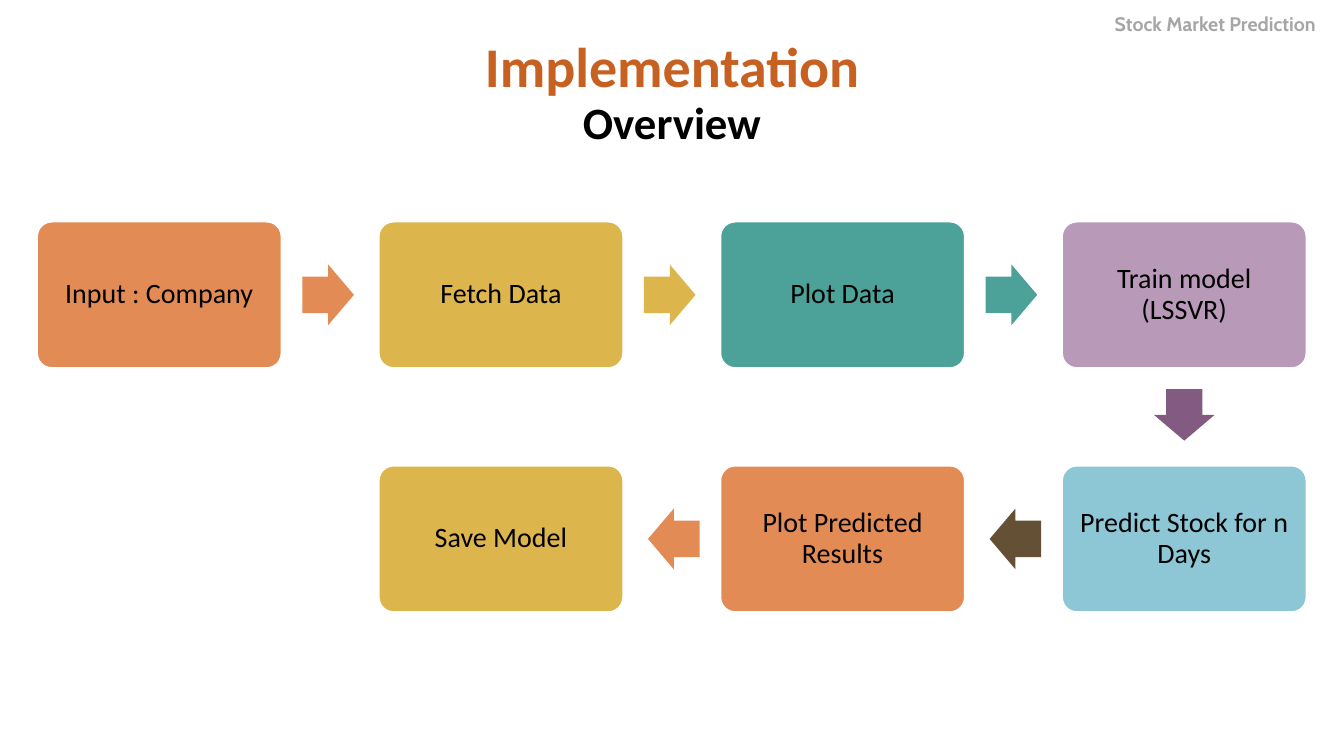
from dataclasses import dataclass

from pptx import Presentation
from pptx.dml.color import RGBColor
from pptx.enum.shapes import MSO_SHAPE
from pptx.enum.text import MSO_ANCHOR, MSO_AUTO_SIZE, PP_ALIGN
from pptx.util import Cm, Pt

CARD = MSO_SHAPE.ROUNDED_RECTANGLE
ARROW = MSO_SHAPE.RIGHT_ARROW
TOP, MIDDLE = MSO_ANCHOR.TOP, MSO_ANCHOR.MIDDLE
LEFT, CENTER = PP_ALIGN.LEFT, PP_ALIGN.CENTER
GROW = MSO_AUTO_SIZE.SHAPE_TO_FIT_TEXT
TITLE_ONLY = 5

PAGE_WIDTH, PAGE_HEIGHT = 33.87, 19.05
CARD_WIDTH, CARD_HEIGHT = 6.15, 3.68
GRID_LEFT, GRID_TOP = 0.94, 5.59
COLUMN_STEP, ROW_STEP = 8.61, 6.15
ARROW_LENGTH, ARROW_SPAN = 1.3, 1.53
ARROW_SETBACK = 0.05
ROTATIONS = {(1, 0): 0, (0, 1): 90, (-1, 0): 180}


@dataclass(frozen=True)
class Theme:
    """Colours, fonts and type sizes of the slide."""

    heading: str = "C76122"
    ink: str = "000000"
    muted: str = "A6A6A6"
    white: str = "FFFFFF"
    orange: str = "E28B55"
    gold: str = "DCB64D"
    teal: str = "4CA198"
    lilac: str = "B899B7"
    purple: str = "835B82"
    sky: str = "8DC6D5"
    brown: str = "645135"
    body_font: str = "Calibri"
    label_font: str = "Cabin"
    title_size: int = 40
    subtitle_size: int = 32
    card_size: int = 20
    label_size: int = 14


class FlowSlide:
    """Draws the elements of a process flow on one slide."""

    def __init__(self, page, theme):
        """Keep the slide and its style."""
        self.page = page
        self.theme = theme

    def fill_text(self, box, text, size, color, font, bold=True, align=CENTER, anchor=TOP):
        """Set the text of a shape and format it."""
        frame = box.text_frame
        frame.text = text
        frame.word_wrap = True
        frame.vertical_anchor = anchor
        para = frame.paragraphs[0]
        para.alignment = align
        for span in para.runs:
            span.font.name = font
            span.font.size = Pt(size)
            span.font.bold = bold
            span.font.color.rgb = RGBColor.from_string(color)
        return frame

    def title(self, text, top, height):
        """Place the slide title across the page."""
        box = self.page.shapes.title
        box.left, box.top = Cm(0), Cm(top)
        box.width, box.height = Cm(PAGE_WIDTH), Cm(height)
        theme = self.theme
        frame = self.fill_text(box, text, theme.title_size, theme.heading, theme.body_font)
        frame.auto_size = GROW

    def text(self, text, left, top, width, height, size, color, font, align=CENTER):
        """Add a bold line of text."""
        box = self.page.shapes.add_textbox(Cm(left), Cm(top), Cm(width), Cm(height))
        frame = self.fill_text(box, text, size, color, font, align=align)
        frame.auto_size = GROW

    def shape(self, kind, left, top, width, height, fill):
        """Add a filled preset shape without outline or shadow."""
        shape = self.page.shapes.add_shape(kind, Cm(left), Cm(top), Cm(width), Cm(height))
        shape.shadow.inherit = False
        shape.fill.solid()
        shape.fill.fore_color.rgb = RGBColor.from_string(fill)
        shape.line.fill.background()
        return shape

    def card(self, text, column, row, fill):
        """Add a step card in a cell of the grid."""
        theme = self.theme
        left = GRID_LEFT + column * COLUMN_STEP
        top = GRID_TOP + row * ROW_STEP
        card = self.shape(CARD, left, top, CARD_WIDTH, CARD_HEIGHT, fill)
        card.adjustments[0] = 0.1
        card.line.color.rgb = RGBColor.from_string(theme.white)
        card.line.width = Pt(1)
        frame = self.fill_text(card, text, theme.card_size, theme.ink, theme.body_font,
                               bold=False, anchor=MIDDLE)
        frame.margin_left = frame.margin_right = Cm(0.2)
        frame.margin_top = frame.margin_bottom = Cm(0.2)
        frame.paragraphs[0].line_spacing = 0.9

    def arrow(self, start, end, fill):
        """Add a block arrow halfway between two neighbouring cells."""
        across, down = end[0] - start[0], end[1] - start[1]
        center_x = (GRID_LEFT + CARD_WIDTH / 2
                    + (start[0] + end[0]) / 2 * COLUMN_STEP - across * ARROW_SETBACK)
        center_y = (GRID_TOP + CARD_HEIGHT / 2
                    + (start[1] + end[1]) / 2 * ROW_STEP - down * ARROW_SETBACK)
        arrow = self.shape(ARROW, center_x - ARROW_LENGTH / 2, center_y - ARROW_SPAN / 2,
                           ARROW_LENGTH, ARROW_SPAN, fill)
        arrow.adjustments[0] = 0.6
        arrow.adjustments[1] = 0.5
        arrow.rotation = ROTATIONS[across, down]


def main():
    """Build the implementation overview and save it."""
    deck = Presentation()
    deck.slide_width, deck.slide_height = Cm(PAGE_WIDTH), Cm(PAGE_HEIGHT)
    theme = Theme()
    slide = FlowSlide(deck.slides.add_slide(deck.slide_layouts[TITLE_ONLY]), theme)

    slide.title("Implementation", 0.66, 1.96)
    slide.text("Overview", 0, 2.26, PAGE_WIDTH, 1.63,
               theme.subtitle_size, theme.ink, theme.body_font)

    steps = [
        ("Input : Company", (0, 0), theme.orange, theme.orange),
        ("Fetch Data", (1, 0), theme.gold, theme.gold),
        ("Plot Data", (2, 0), theme.teal, theme.teal),
        ("Train model (LSSVR)", (3, 0), theme.lilac, theme.purple),
        ("Predict Stock for n Days", (3, 1), theme.sky, theme.brown),
        ("Plot Predicted Results", (2, 1), theme.orange, theme.orange),
        ("Save Model", (1, 1), theme.gold, None),
    ]
    for index, (text, cell, fill, arrow_fill) in enumerate(steps):
        slide.card(text, *cell, fill)
        if arrow_fill:
            slide.arrow(cell, steps[index + 1][1], arrow_fill)

    slide.text("Stock Market Prediction", 27.84, 0.18, 6.4, 0.86,
               theme.label_size, theme.muted, theme.label_font, align=LEFT)
    deck.save("out.pptx")


if __name__ == "__main__":
    main()
